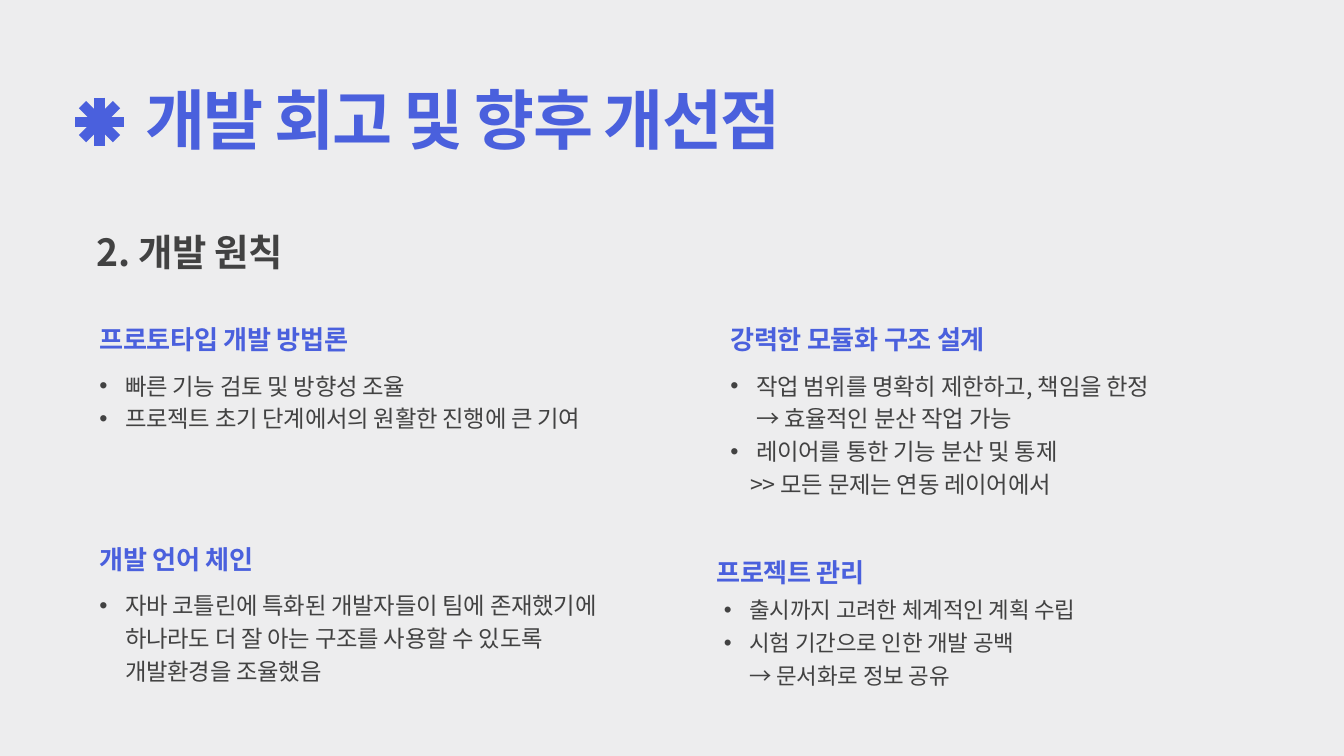
import math

import pptx
import pptx.dml.color
import pptx.enum.shapes
import pptx.enum.text
import pptx.oxml
import pptx.oxml.ns
import pptx.util
from lxml import etree

Cm = pptx.util.Cm
Pt = pptx.util.Pt
COLORS = {"background": "EDEDEE", "accent": "4A60DD", "text": "424242"}
FONT = "Noto Sans CJK KR"
BULLET_INDENT = 0.97
TITLE = {"size": 70, "bold": True, "color": "accent", "tracking": -2.1, "leading": 70}
SUBTITLE = {"size": 40, "bold": True, "color": "text", "tracking": -0.4, "leading": 52}
HEADING = {"size": 28, "bold": True, "color": "accent", "tracking": -0.3, "leading": 38.9}
BODY = {"size": 25, "bold": False, "color": "text", "tracking": -0.2, "leading": 35}
SMALL_BODY = {**BODY, "size": 24}
SECTIONS = [
    {"box": (3.76, 12.04, 19.43, 4.26), "heading": "프로토타입 개발 방법론",
     "items": [("빠른 기능 검토 및 방향성 조율", BULLET_INDENT, True),
               ("프로젝트 초기 단계에서의 원활한 진행에 큰 기여", BULLET_INDENT, True)]},
    {"box": (27.61, 12.04, 19.43, 6.75), "heading": "강력한 모듈화 구조 설계",
     "items": [("작업 범위를 명확히 제한하고, 책임을 한정\v→ 효율적인 분산 작업 가능", BULLET_INDENT, True),
               ("레이어를 통한 기능 분산 및 통제", BULLET_INDENT, True),
               (">> 모든 문제는 연동 레이어에서", 0.74, False)]},
    {"box": (3.76, 20.35, 19.43, 5.53), "heading": "개발 언어 체인",
     "items": [("자바 코틀린에 특화된 개발자들이 팀에 존재했기에", BULLET_INDENT, True),
               ("하나라도 더 잘 아는 구조를 사용할 수 있도록", BULLET_INDENT, False),
               ("개발환경을 조율했음", BULLET_INDENT, False)]},
    {"box": (27.08, 20.85, 19.43, 5.13), "heading": "프로젝트 관리",
     "body_offset": (0.28, 1.48), "body_style": SMALL_BODY,
     "items": [("출시까지 고려한 체계적인 계획 수립", BULLET_INDENT, True),
               ("시험 기간으로 인한 개발 공백\v→ 문서화로 정보 공유", BULLET_INDENT, True)]},
]


def rgb(name):
    """Return the named colour."""
    return pptx.dml.color.RGBColor.from_string(COLORS[name])


def style_run(run, style):
    """Apply font, colour and tracking to a run."""
    for attribute, value in {"name": FONT, "size": Pt(style["size"]), "bold": style["bold"]}.items():
        setattr(run.font, attribute, value)
    run.font.color.rgb = rgb(style["color"])
    properties = run.font._element if hasattr(run.font, "_element") else run._r.get_or_add_rPr()
    properties.set("spc", str(round(style["tracking"] * 100)))
    east_asian = etree.SubElement(properties, pptx.oxml.ns.qn("a:ea"))
    east_asian.set("typeface", FONT)


def indent_paragraph(paragraph, indent, bullet):
    """Set the left margin and, if asked, a hanging bullet."""
    properties = paragraph._p.get_or_add_pPr()
    properties.set("marL", str(Cm(indent)))
    properties.set("indent", str(-Cm(indent) if bullet else 0))
    if bullet:
        etree.SubElement(properties, pptx.oxml.ns.qn("a:buFont")).set("typeface", "Arial")
        etree.SubElement(properties, pptx.oxml.ns.qn("a:buChar")).set("char", "•")


def add_text(slide, box, items, style):
    """Place a text box with (text, indent, bullet) paragraphs."""
    frame = slide.shapes.add_textbox(*map(Cm, box)).text_frame
    settings = {"margin_left": 0, "margin_top": 0, "margin_right": 0, "margin_bottom": 0,
                "word_wrap": True, "auto_size": pptx.enum.text.MSO_AUTO_SIZE.SHAPE_TO_FIT_TEXT}
    for attribute, value in settings.items():
        setattr(frame, attribute, value)
    for index, (text, indent, bullet) in enumerate(items):
        paragraph = frame.add_paragraph() if index else frame.paragraphs[0]
        paragraph.text = text
        indent_paragraph(paragraph, indent, bullet)
        paragraph.line_spacing = Pt(style["leading"])
        for run in paragraph.runs:
            style_run(run, style)


def add_asterisk(slide, box):
    """Draw an eight-armed asterisk filling the box."""
    left, top, width, height = box
    center_x, center_y, radius = left + width / 2, top + height / 2, width / 2
    group = slide.shapes.add_group_shape()
    for step in range(4):
        dx = radius * math.cos(step * math.pi / 4)
        dy = radius * math.sin(step * math.pi / 4)
        ends = (center_x - dx, center_y - dy, center_x + dx, center_y + dy)
        arm = group.shapes.add_connector(pptx.enum.shapes.MSO_CONNECTOR.STRAIGHT, *map(Cm, ends))
        arm.line.color.rgb = rgb("accent")
        arm.line.width = Pt(11)
        etree.SubElement(arm._element.spPr, pptx.oxml.ns.qn("a:effectLst"))


def add_header(slide, box):
    """Place the asterisk, the title and the subtitle."""
    left, top, width, height = box
    add_asterisk(slide, (left, top + 0.21, 1.82, 1.82))
    add_text(slide, (left + 2.66, top, 26.01, 2.57), [("개발 회고 및 향후 개선점", 0, False)], TITLE)
    add_text(slide, (left + 0.81, top + 5.03, 22.43, 1.78), [("2. 개발 원칙", 0, False)], SUBTITLE)


def add_section(slide, box, heading, items, body_offset=(0, 1.84), body_style=BODY):
    """Place a heading and its list inside the box."""
    left, top, width, height = box
    dx, dy = body_offset
    add_text(slide, (left, top, 10.74, 1.32), [(heading, 0, False)], HEADING)
    add_text(slide, (left + dx, top + dy, width, height - dy), items, body_style)


def main():
    """Build and save the presentation."""
    presentation = pptx.Presentation()
    presentation.slide_width, presentation.slide_height = Cm(50.8), Cm(28.58)
    slide = presentation.slides.add_slide(presentation.slide_layouts[6])
    slide.background.fill.solid()
    slide.background.fill.fore_color.rgb = rgb("background")
    add_header(slide, (2.85, 3.48, 28.67, 6.81))
    for section in SECTIONS:
        add_section(slide, **section)
    presentation.save("out.pptx")


if __name__ == "__main__":
    main()
